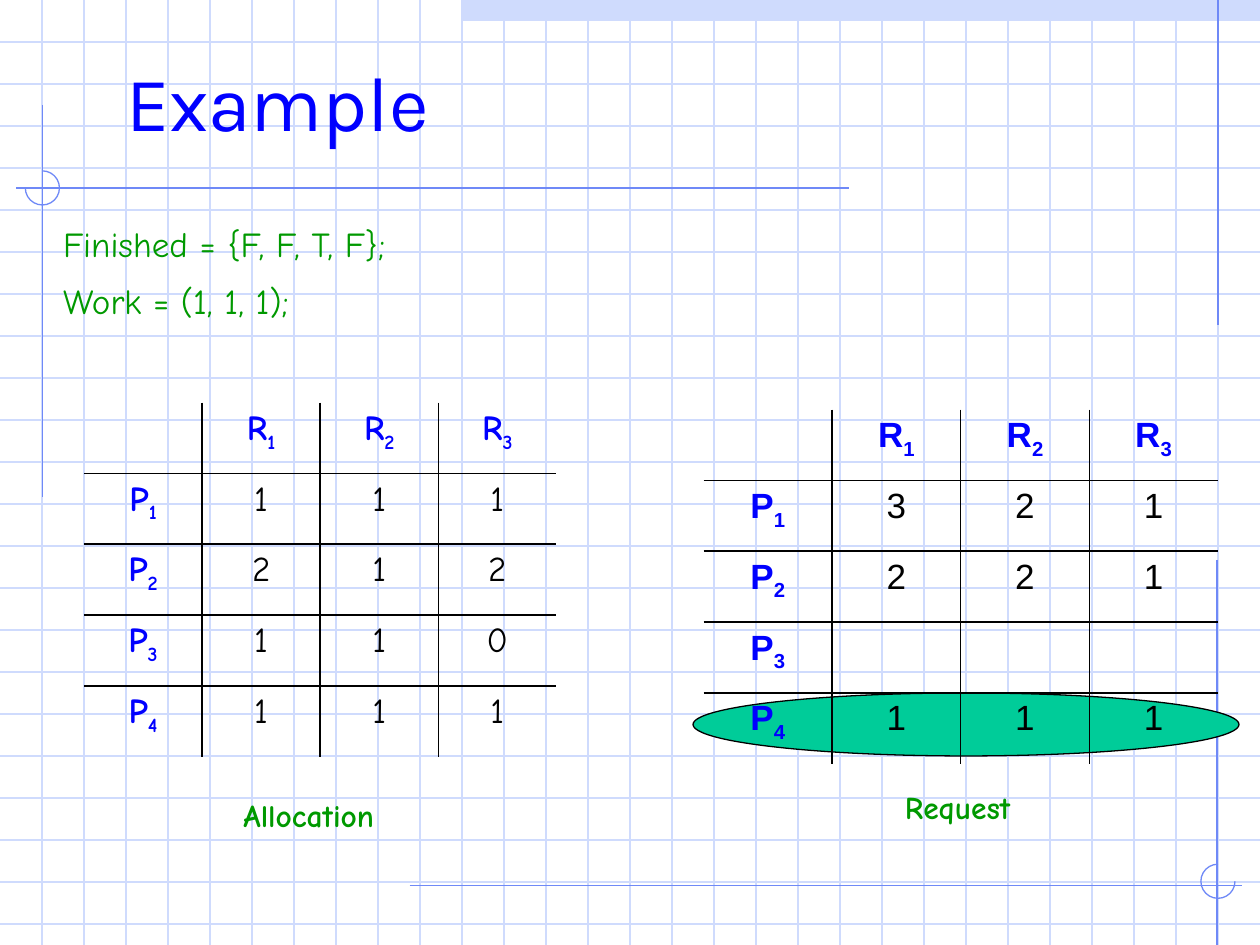
import pptx
import pptx.util
import pptx.dml.color
import pptx.enum.shapes
import pptx.enum.text
import pptx.oxml.ns
from lxml import etree

Pt = pptx.util.Pt
RGBColor = pptx.dml.color.RGBColor
MSO_SHAPE = pptx.enum.shapes.MSO_SHAPE
PP_ALIGN = pptx.enum.text.PP_ALIGN
MSO_ANCHOR = pptx.enum.text.MSO_ANCHOR
MSO_AUTO_SIZE = pptx.enum.text.MSO_AUTO_SIZE
qn = pptx.oxml.ns.qn

BLUE = RGBColor(0x00, 0x00, 0xFF)
GREEN = RGBColor(0x00, 0x99, 0x00)
BLACK = RGBColor(0x00, 0x00, 0x00)
TEAL = RGBColor(0x00, 0xCC, 0x99)
GRID_BLUE = RGBColor(0xCF, 0xDB, 0xFD)
RULE_BLUE = RGBColor(0x6F, 0x89, 0xF7)

PAGE_WIDTH, PAGE_HEIGHT = 720, 540
GRID_STEP = 24
HAND_FONT = "Comic Neue"

RESOURCES = ["R1", "R2", "R3"]
ALLOCATION = {"P1": "111", "P2": "212", "P3": "110", "P4": "111"}
REQUEST = {"P1": "321", "P2": "221", "P3": "", "P4": "111"}


def points(values):
    return [Pt(value) for value in values]


def set_font(font, name, size, color, bold=False):
    font.name, font.size, font.bold = name, Pt(size), bold
    font.color.rgb = color


def add_line(page, start, end, color):
    line = page.shapes.add_connector(
        pptx.enum.shapes.MSO_CONNECTOR.STRAIGHT, *points(start + end))
    line.line.color.rgb = color
    line.line.width = Pt(0.75)
    etree.SubElement(line.element.spPr, qn("a:effectLst"))


def add_outline(page, kind, box, fill, line):
    """Add a preset shape; a fill or line of None is left out."""
    shape = page.shapes.add_shape(kind, *points(box))
    shape.shadow.inherit = False
    for part, color in ((shape.fill, fill), (shape.line.fill, line)):
        if color is None:
            part.background()
        else:
            part.solid()
            part.fore_color.rgb = color
    if line is not None:
        shape.line.width = Pt(0.75)
    return shape


def add_corner_mark(page, center, start_angle, end_angle):
    """Add a three-quarter circle, with angles clockwise from the right."""
    radius = 9.75
    box = (center[0] - radius, center[1] - radius, 2 * radius, 2 * radius)
    arc = add_outline(page, MSO_SHAPE.ARC, box, None, RULE_BLUE)
    # Angles are stored in 60000ths of a degree, adjustments in 100000ths.
    arc.adjustments[0] = start_angle * 0.6
    arc.adjustments[1] = end_angle * 0.6


def add_backdrop(page, width, height):
    add_outline(page, MSO_SHAPE.RECTANGLE, (263.75, 0, 456.25, 12), GRID_BLUE, None)
    for y in range(GRID_STEP, height, GRID_STEP):
        add_line(page, (0, y), (width, y), GRID_BLUE)
    for x in range(GRID_STEP, width, GRID_STEP):
        add_line(page, (x, 0), (x, height), GRID_BLUE)

    rules = [
        ((696, 0), (696, 186)),
        ((24.25, 60), (24.25, 284)),
        ((485, 107.4), (9, 107.4)),
        ((234, 505.9), (710, 505.9)),
        ((695.5, 320), (695.5, 546.5)),
    ]
    for start, end in rules:
        add_line(page, start, end, RULE_BLUE)
    add_corner_mark(page, (24.25, 107.4), 270, 180)
    add_corner_mark(page, (696, 503.6), 0, 270)


def place_placeholder(holder, box, anchor):
    """Move a placeholder to the box, above everything drawn so far."""
    holder.left, holder.top, holder.width, holder.height = points(box)
    holder.element.getparent().append(holder.element)
    frame = holder.text_frame
    frame.margin_left = frame.margin_top = frame.margin_right = frame.margin_bottom = 0
    frame.auto_size = MSO_AUTO_SIZE.NONE
    frame.vertical_anchor = anchor
    return frame


def fill_title(page, box, text):
    frame = place_placeholder(page.shapes.title, box, MSO_ANCHOR.MIDDLE)
    frame.text = text
    para = frame.paragraphs[0]
    para.alignment = PP_ALIGN.LEFT
    para.line_spacing = 1.04
    set_font(para.font, "Karla", 44, BLUE)


def fill_body(page, box, lines):
    frame = place_placeholder(page.placeholders[1], box, MSO_ANCHOR.TOP)
    frame.text = "\n".join(lines)
    for para in frame.paragraphs:
        para.line_spacing = 1.04
        para.space_before = Pt(8)
        set_font(para.font, HAND_FONT, 20, GREEN)
        properties = para._p.get_or_add_pPr()
        properties.set("marL", str(Pt(27)))
        properties.set("indent", str(-Pt(27)))
        bullet = etree.Element(qn("a:buNone"))
        properties.find(qn("a:defRPr")).addprevious(bullet)


def set_borders(cell, visible_sides):
    properties = cell._tc.get_or_add_tcPr()
    for side in "LRTB":
        edge = etree.SubElement(properties, qn("a:ln" + side), w=str(Pt(1)))
        if side in visible_sides:
            fill = etree.SubElement(edge, qn("a:solidFill"))
            etree.SubElement(fill, qn("a:srgbClr"), val=str(BLACK))
        else:
            etree.SubElement(edge, qn("a:noFill"))


def write_cell(cell, text, font_name):
    """Write a number, or a label whose second character is a subscript."""
    is_label = len(text) == 2
    para = cell.text_frame.paragraphs[0]
    para.alignment = PP_ALIGN.CENTER
    set_font(para.font, font_name, 20, BLUE if is_label else BLACK, is_label)
    for index, character in enumerate(text):
        span = para.add_run()
        span.text = character
        set_font(span.font, font_name, 20, BLUE if is_label else BLACK, is_label)
        if index == 1:
            span._r.get_or_add_rPr().set("baseline", "-25000")


def add_matrix(page, box, processes, font_name):
    rows = [["", *RESOURCES]]
    rows += [[name, *values.ljust(len(RESOURCES))] for name, values in processes.items()]
    last_row, last_column = len(rows) - 1, len(RESOURCES)
    table = page.shapes.add_table(len(rows), last_column + 1, *points(box)).table
    table.first_row = table.horz_banding = False
    for column in table.columns:
        column.width = Pt(box[2] / (last_column + 1))
    for row_index, row in enumerate(rows):
        table.rows[row_index].height = Pt(box[3] / len(rows))
        for column_index, text in enumerate(row):
            cell = table.cell(row_index, column_index)
            inner = {"L": column_index > 0, "R": column_index < last_column,
                     "T": row_index > 0, "B": row_index < last_row}
            set_borders(cell, [side for side in inner if inner[side]])
            cell.fill.background()
            write_cell(cell, text.strip(), font_name)


def add_caption(page, box, text):
    frame = page.shapes.add_textbox(*points(box)).text_frame
    frame.word_wrap = False
    frame.auto_size = MSO_AUTO_SIZE.SHAPE_TO_FIT_TEXT
    frame.text = text
    para = frame.paragraphs[0]
    para.line_spacing = 1.34
    set_font(para.font, HAND_FONT, 18, GREEN, True)


def main():
    deck = pptx.Presentation()
    deck.slide_width, deck.slide_height = points((PAGE_WIDTH, PAGE_HEIGHT))
    page = deck.slides.add_slide(deck.slide_layouts[1])

    add_backdrop(page, PAGE_WIDTH, PAGE_HEIGHT)
    add_outline(page, MSO_SHAPE.OVAL, (396, 396, 312, 36), TEAL, BLACK)
    fill_title(page, (72, 0, 612, 113), "Example")
    fill_body(page, (36, 126, 648, 356.5),
              ["Finished = {F, F, T, F};", "Work = (1, 1, 1);"])
    add_matrix(page, (48, 230, 270, 202.5), ALLOCATION, HAND_FONT)
    add_matrix(page, (402, 234, 294, 202.5), REQUEST, "Arial")
    add_caption(page, (132, 444, 98.5, 29), "Allocation")
    add_caption(page, (510, 439.5, 82, 29), "Request")
    deck.save("out.pptx")


if __name__ == "__main__":
    main()
